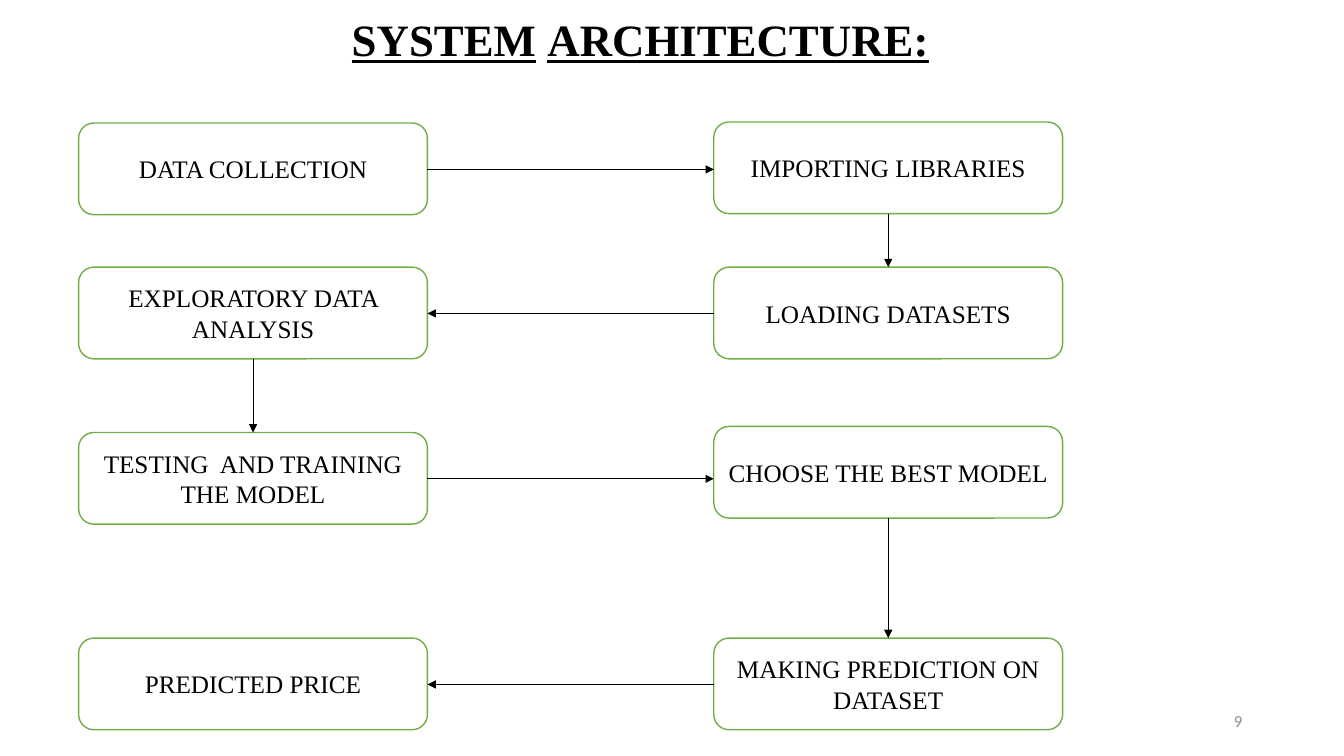
from dataclasses import dataclass
from itertools import pairwise

from lxml import etree
from pptx import Presentation
from pptx import util as u
from pptx.dml.color import RGBColor
from pptx.enum import shapes, text
from pptx.oxml import ns
from pptx.slide import Slide
from pptx.text.text import TextFrame

PX = 9144
BLACK = RGBColor(0x00, 0x00, 0x00)
WHITE = RGBColor(0xFF, 0xFF, 0xFF)
GREEN = RGBColor(0x70, 0xAD, 0x47)
GREY = RGBColor(0x8C, 0x8C, 0x8C)
SERIF = "Times New Roman"
SANS = "Calibri"

LEFT_COLUMN, RIGHT_COLUMN = 78, 708
STEP_WIDTH, STEP_HEIGHT = 346, 91


@dataclass(frozen=True)
class Step:
    label: str
    left: int
    top: int

    @property
    def center(self) -> int:
        return self.left + STEP_WIDTH // 2

    @property
    def middle(self) -> int:
        return self.top + (STEP_HEIGHT + 1) // 2


@dataclass(frozen=True)
class Style:
    size: int
    font: str
    color: RGBColor
    bold: bool = False


STEP_STYLE = Style(18, SERIF, BLACK)
TITLE_STYLE = Style(32, SERIF, BLACK, bold=True)
NUMBER_STYLE = Style(12, SANS, GREY)

STEPS = [
    Step("DATA COLLECTION", LEFT_COLUMN, 122),
    Step("IMPORTING LIBRARIES", RIGHT_COLUMN, 121),
    Step("LOADING DATASETS", RIGHT_COLUMN, 265),
    Step("EXPLORATORY DATA ANALYSIS", LEFT_COLUMN, 265),
    Step("TESTING  AND TRAINING THE MODEL", LEFT_COLUMN, 429),
    Step("CHOOSE THE BEST MODEL", RIGHT_COLUMN, 423),
    Step("MAKING PREDICTION ON DATASET", RIGHT_COLUMN, 633),
    Step("PREDICTED PRICE", LEFT_COLUMN, 633),
]
TITLE_RUNS = [("SYSTEM", True), (" ", False), ("ARCHITECTURE:", True)]


def px(*lengths: int) -> list[u.Emu]:
    return [u.Emu(length * PX) for length in lengths]


def write(
    frame: TextFrame,
    runs: list[tuple[str, bool]],
    style: Style,
    align: text.PP_ALIGN,
    anchor: text.MSO_ANCHOR,
) -> None:
    frame.word_wrap = True
    frame.vertical_anchor = anchor
    paragraph = frame.paragraphs[0]
    paragraph.alignment = align
    for content, underline in runs:
        run = paragraph.add_run()
        run.text = content
        run.font.size = u.Pt(style.size)
        run.font.name = style.font
        run.font.color.rgb = style.color
        run.font.bold = style.bold
        run.font.underline = underline


def add_step(slide: Slide, step: Step) -> None:
    shape = slide.shapes.add_shape(
        shapes.MSO_SHAPE.ROUNDED_RECTANGLE,
        *px(step.left, step.top, STEP_WIDTH, STEP_HEIGHT),
    )
    shape.shadow.inherit = False
    shape.fill.solid()
    shape.fill.fore_color.rgb = WHITE
    shape.line.color.rgb = GREEN
    shape.line.width = u.Pt(1)
    write(shape.text_frame, [(step.label, False)], STEP_STYLE,
          text.PP_ALIGN.CENTER, text.MSO_ANCHOR.MIDDLE)


def arrow_ends(source: Step, target: Step) -> tuple[int, int, int, int]:
    if source.left == target.left:
        return source.center, source.top + STEP_HEIGHT, target.center, target.top
    middle = max(source.middle, target.middle)
    if source.left < target.left:
        return source.left + STEP_WIDTH, middle, target.left, middle
    return source.left, middle, target.left + STEP_WIDTH, middle


def add_arrow(slide: Slide, source: Step, target: Step) -> None:
    connector = slide.shapes.add_connector(
        shapes.MSO_CONNECTOR.STRAIGHT, *px(*arrow_ends(source, target))
    )
    connector.line.color.rgb = BLACK
    connector.line.width = u.Pt(0.5)
    line = connector.line._get_or_add_ln()
    etree.SubElement(line, ns.qn("a:tailEnd"), type="triangle")
    etree.SubElement(connector._element.spPr, ns.qn("a:effectLst"))


def main() -> None:
    presentation = Presentation()
    presentation.slide_width = u.Inches(13.33)
    presentation.slide_height = u.Inches(7.5)
    slide = presentation.slides.add_slide(presentation.slide_layouts[6])

    for step in STEPS:
        add_step(slide, step)
    for source, target in pairwise(STEPS):
        add_arrow(slide, source, target)

    title = slide.shapes.add_textbox(*px(339, 7, 628, 64))
    write(title.text_frame, TITLE_RUNS, TITLE_STYLE,
          text.PP_ALIGN.LEFT, text.MSO_ANCHOR.TOP)
    number = slide.shapes.add_textbox(*px(942, 695, 300, 40))
    write(number.text_frame, [("9", False)], NUMBER_STYLE,
          text.PP_ALIGN.RIGHT, text.MSO_ANCHOR.MIDDLE)

    presentation.save("out.pptx")


if __name__ == "__main__":
    main()
